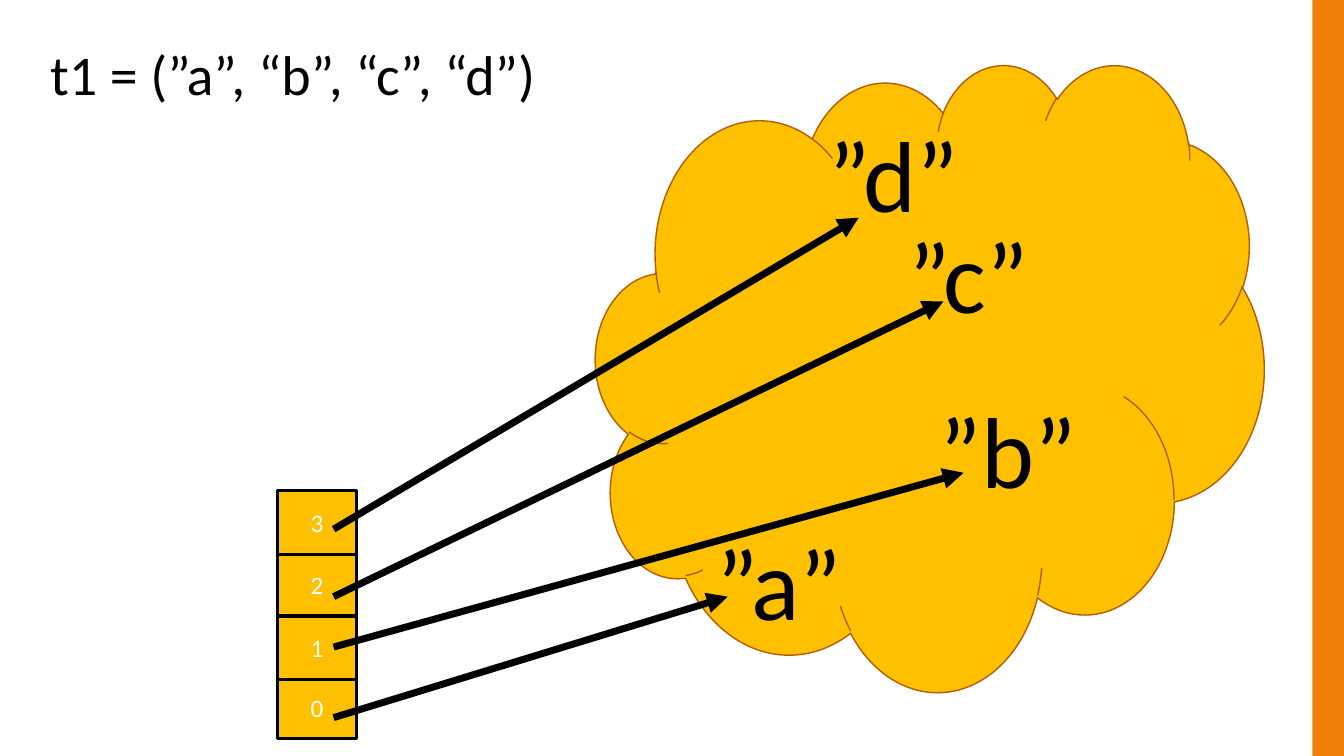
from lxml import etree
from pptx import Presentation
from pptx.dml.color import RGBColor
from pptx.enum import shapes, text
from pptx.oxml import ns
from pptx.util import Pt

# Content: lengths in points
TITLE = ("t1 = (”a”, “b”, “c”, “d”)", (28.8, 24.5, 371.5, 55.4))
SIDE_BAR = (937.4, 0, 22.6, 540)
CLOUD = (425.5, 45.4, 477.4, 447.8)
ITEMS = [  # index, cell top, value, value left/top/width, arrow start y, arrow tip
    ("0", 482.4, "”a”", (504.7, 367.9, 128.2), 512.6, (519.8, 426.2)),
    ("1", 439.9, "”b”", (663.8, 273.6, 133.9), 462.2, (688.3, 337.7)),
    ("2", 394.6, "”c”", (642.2, 148.3, 128.2), 426.2, (673.9, 215.3)),
    ("3", 350.6, "”d”", (584.6, 76.3, 133.2), 378, (613.4, 155.5)),
]
CELL_LEFT, CELL_W, CELL_H = 198, 56.9, 45.4
VALUE_H = 94.3
ARROW_X = 238.3

THEME = {
    "font": "Calibri",
    "bar": "F07F09", "gold": "FFC000", "rim": "B25E07",
    "ink": "000000", "white": "FFFFFF",
    "title": 40, "value": 72, "index": 18,
    "cloud_line": 1, "cell_line": 2.25, "arrow_line": 5,
}


def color(name):
    return RGBColor.from_string(THEME[name])


def apply(target, formats):
    for name, value in formats.items():
        setattr(target, name, value)


def write(tf, words, size, ink, align, frame):
    apply(tf, frame)
    p = tf.paragraphs[0]
    p.alignment = align
    r = p.add_run()
    r.text = words
    apply(r.font, {"name": THEME["font"], "size": Pt(THEME[size])})
    r.font.color.rgb = color(ink)


def add_block(s, kind, box, fill, line=None, width=None):
    sp = s.shapes.add_shape(kind, *map(Pt, box))
    sp.shadow.inherit = False
    sp.fill.solid()
    sp.fill.fore_color.rgb = color(fill)
    if line:
        sp.line.color.rgb = color(line)
        sp.line.width = Pt(THEME[width])
    else:
        sp.line.fill.background()
    return sp


def add_label(s, words, box, size):
    sp = s.shapes.add_textbox(*map(Pt, box))
    write(sp.text_frame, words, size, "ink", text.PP_ALIGN.LEFT,
          {"word_wrap": False, "auto_size": text.MSO_AUTO_SIZE.SHAPE_TO_FIT_TEXT})


def add_arrow(s, start, tip):
    sp = s.shapes.add_connector(shapes.MSO_CONNECTOR.STRAIGHT, *map(Pt, start + tip))
    sp.line.color.rgb = color("ink")
    sp.line.width = Pt(THEME["arrow_line"])
    etree.SubElement(sp.line._get_or_add_ln(), ns.qn("a:tailEnd"), type="triangle")
    etree.SubElement(sp._element.spPr, ns.qn("a:effectLst"))


def main():
    prs = Presentation()
    apply(prs, {"slide_width": Pt(960), "slide_height": Pt(540)})
    s = prs.slides.add_slide(prs.slide_layouts[6])

    # Backdrop and title
    add_block(s, shapes.MSO_SHAPE.RECTANGLE, SIDE_BAR, "bar")
    add_block(s, shapes.MSO_SHAPE.CLOUD, CLOUD, "gold", "rim", "cloud_line")
    add_label(s, *TITLE, "title")

    # Tuple cells and the values they refer to
    for index, top, value, place, _, _ in ITEMS:
        cell = add_block(s, shapes.MSO_SHAPE.RECTANGLE, (CELL_LEFT, top, CELL_W, CELL_H),
                         "gold", "ink", "cell_line")
        write(cell.text_frame, index, "index", "white", text.PP_ALIGN.CENTER,
              {"word_wrap": True, "vertical_anchor": text.MSO_ANCHOR.MIDDLE})
        add_label(s, value, place + (VALUE_H,), "value")

    # References, above everything else
    for *_, start_y, tip in ITEMS:
        add_arrow(s, (ARROW_X, start_y), tip)

    prs.save("out.pptx")


if __name__ == "__main__":
    main()
